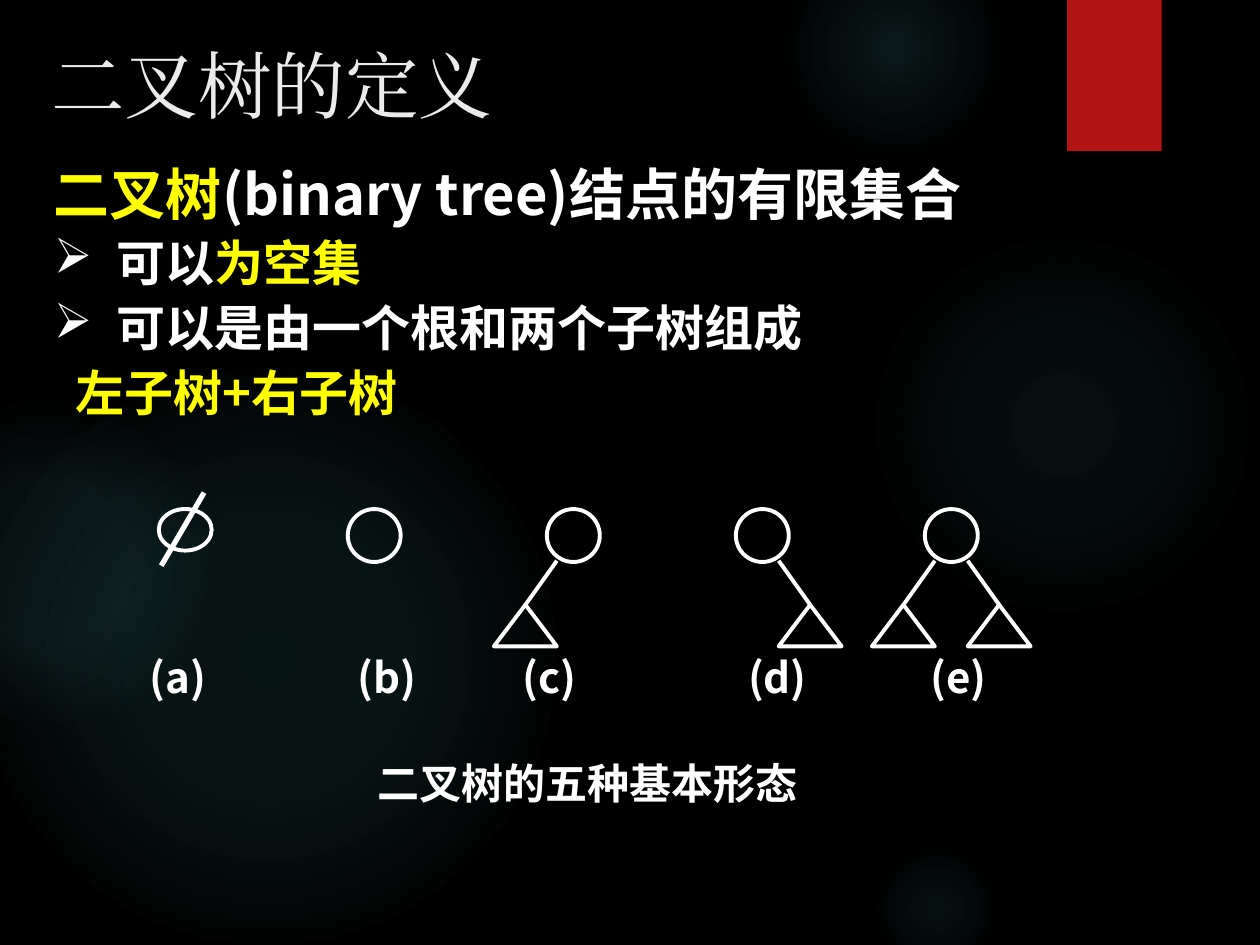
"""Build a slide on the definition of binary trees and their five basic forms."""
from dataclasses import dataclass
from typing import NamedTuple

from lxml.etree import SubElement
from pptx import Presentation
from pptx.dml.color import RGBColor
from pptx.enum.shapes import MSO_CONNECTOR, MSO_SHAPE
from pptx.enum.text import PP_ALIGN
from pptx.oxml.ns import qn
from pptx.shapes.autoshape import Shape
from pptx.slide import Slide
from pptx.text.text import _Paragraph, _Run
from pptx.util import Inches, Pt


@dataclass(frozen=True)
class Theme:
    background: str = "000000"
    glow: str = "50B9C1"
    ribbon: str = "B01513"
    title: str = "EBEBEB"
    text: str = "FFFFFF"
    accent: str = "FFFF00"
    title_font: str = "Times New Roman"
    body_font: str = "Noto Sans CJK SC"
    title_size: int = 42
    lead_size: int = 32
    point_size: int = 28
    label_size: int = 24
    outline: float = 2.25
    slash: float = 3


class Glow(NamedTuple):
    left: float
    top: float
    size: float
    stops: tuple[tuple[int, int], ...]


class Statement(NamedTuple):
    phrases: tuple[tuple[str, str], ...]
    size: int
    leading: int
    bulleted: bool = False
    indent: float = 0


class TreeForm(NamedTuple):
    label: str
    label_center: float
    root_center: float
    branches: tuple[int, ...] = ()
    empty: bool = False


THEME = Theme()
GLOWS = (
    Glow(6.89, 1.83, 3.08, ((0, 7), (36, 6), (69, 0))),
    Glow(6.22, -0.5, 1.75, ((0, 14), (36, 7), (73, 0))),
    Glow(6.89, 6.67, 1.08, ((0, 9), (36, 5), (66, 0))),
    Glow(-0.17, 2.92, 4.58, ((0, 11), (36, 10), (75, 0))),
    Glow(-0.92, 3.17, 2.58, ((0, 8), (36, 8), (72, 0))),
)
STATEMENTS = (
    Statement((("二叉树", THEME.accent), ("(binary tree)结点的有限集合", THEME.text)),
              THEME.lead_size, 44),
    Statement((("可以", THEME.text), ("为空集", THEME.accent)),
              THEME.point_size, 37, bulleted=True),
    Statement((("可以是由一个根和两个子树组成", THEME.text),),
              THEME.point_size, 37, bulleted=True),
    Statement((("左子树+右子树", THEME.accent),), THEME.point_size, 37, indent=0.17),
)
FORMS = (
    TreeForm("(a)", 1.41, 1.47, empty=True),
    TreeForm("(b)", 3.07, 2.97),
    TreeForm("(c)", 4.36, 4.55, (-1,)),
    TreeForm("(d)", 6.17, 6.05, (1,)),
    TreeForm("(e)", 7.61, 7.55, (-1, 1)),
)
ROOT_TOP, ROOT_SIZE, EMPTY_HEIGHT = 4.04, 0.42, 0.33
EDGE_TOP, SUBTREE_TOP = 4.45, 4.8
EDGE_OFFSET, SUBTREE_OFFSET = 0.13, 0.38
SUBTREE_WIDTH, SUBTREE_HEIGHT = 0.5, 0.33
LABEL_TOP, LABEL_WIDTH, LABEL_HEIGHT = 5.12, 0.8, 0.5


def add_plain(slide: Slide, kind: MSO_SHAPE, left: float, top: float,
              width: float, height: float) -> Shape:
    shape = slide.shapes.add_shape(kind, Inches(left), Inches(top), Inches(width), Inches(height))
    shape.shadow.inherit = False
    return shape


def add_glow(slide: Slide, glow: Glow) -> None:
    halo = add_plain(slide, MSO_SHAPE.OVAL, glow.left, glow.top, glow.size, glow.size)
    halo.line.fill.background()
    halo.fill.gradient()
    gradient = halo._element.spPr.find(qn("a:gradFill"))
    for child in list(gradient):
        gradient.remove(child)
    stops = SubElement(gradient, qn("a:gsLst"))
    for position, opacity in glow.stops:
        stop = SubElement(stops, qn("a:gs"), pos=str(position * 1000))
        color = SubElement(stop, qn("a:srgbClr"), val=THEME.glow)
        SubElement(color, qn("a:alpha"), val=str(opacity * 1000))
    circle = SubElement(gradient, qn("a:path"))
    circle.set("path", "circle")
    SubElement(circle, qn("a:fillToRect"), l="50000", t="50000", r="50000", b="50000")


def add_outline(slide: Slide, kind: MSO_SHAPE, center: float, top: float,
                width: float, height: float) -> None:
    node = add_plain(slide, kind, center - width / 2, top, width, height)
    node.fill.background()
    node.line.color.rgb = RGBColor.from_string(THEME.text)
    node.line.width = Pt(THEME.outline)


def add_line(slide: Slide, start: tuple[float, float], end: tuple[float, float],
             weight: float) -> None:
    edge = slide.shapes.add_connector(
        MSO_CONNECTOR.STRAIGHT, *(Inches(value) for value in (*start, *end)))
    edge.line.color.rgb = RGBColor.from_string(THEME.text)
    edge.line.width = Pt(weight)
    SubElement(edge._element.spPr, qn("a:effectLst"))


def style_run(run: _Run, font: str, size: int, color: str, bold: bool) -> None:
    run.font.size = Pt(size)
    run.font.bold = bold
    run.font.color.rgb = RGBColor.from_string(color)
    run.font.name = font
    SubElement(run._r.get_or_add_rPr(), qn("a:ea"), typeface=font)


def add_textbox(slide: Slide, left: float, top: float, width: float, height: float) -> Shape:
    box = slide.shapes.add_textbox(Inches(left), Inches(top), Inches(width), Inches(height))
    box.text_frame.word_wrap = True
    return box


def add_text(slide: Slide, text: str, left: float, top: float, width: float, height: float,
             size: int = THEME.label_size, color: str = THEME.text,
             font: str = THEME.body_font, bold: bool = True,
             align: PP_ALIGN = PP_ALIGN.LEFT) -> None:
    frame = add_textbox(slide, left, top, width, height).text_frame
    frame.text = text
    frame.paragraphs[0].alignment = align
    style_run(frame.paragraphs[0].runs[0], font, size, color, bold)


def write_statement(paragraph: _Paragraph, statement: Statement) -> None:
    paragraph.alignment = PP_ALIGN.JUSTIFY
    paragraph.line_spacing = Pt(statement.leading)
    properties = paragraph._p.get_or_add_pPr()
    if statement.bulleted:
        properties.set("marL", str(Inches(0.5)))
        properties.set("indent", str(-Inches(0.5)))
        SubElement(properties, qn("a:buChar"), char="➢")
    else:
        properties.set("marL", str(Inches(statement.indent)))
    for text, color in statement.phrases:
        run = paragraph.add_run()
        run.text = text
        style_run(run, THEME.body_font, statement.size, color, True)


def add_definition(slide: Slide) -> None:
    frame = add_textbox(slide, 0.33, 1.14, 8.61, 2.25).text_frame
    for index, statement in enumerate(STATEMENTS):
        write_statement(frame.add_paragraph() if index else frame.paragraphs[0], statement)


def add_form(slide: Slide, form: TreeForm) -> None:
    center = form.root_center
    root_height = EMPTY_HEIGHT if form.empty else ROOT_SIZE
    add_outline(slide, MSO_SHAPE.OVAL, center, ROOT_TOP, ROOT_SIZE, root_height)
    if form.empty:
        add_line(slide, (center + 0.15, 3.91), (center - 0.19, 4.49), THEME.slash)
    for side in form.branches:
        subtree = center + side * SUBTREE_OFFSET
        add_line(slide, (center + side * EDGE_OFFSET, EDGE_TOP), (subtree, SUBTREE_TOP),
                 THEME.outline)
        add_outline(slide, MSO_SHAPE.FLOWCHART_EXTRACT, subtree, SUBTREE_TOP,
                    SUBTREE_WIDTH, SUBTREE_HEIGHT)
    add_text(slide, form.label, form.label_center - LABEL_WIDTH / 2, LABEL_TOP,
             LABEL_WIDTH, LABEL_HEIGHT, align=PP_ALIGN.CENTER)


def main() -> None:
    deck = Presentation()
    deck.slide_width, deck.slide_height = Inches(10), Inches(7.5)
    slide = deck.slides.add_slide(deck.slide_layouts[6])
    slide.background.fill.solid()
    slide.background.fill.fore_color.rgb = RGBColor.from_string(THEME.background)
    for glow in GLOWS:
        add_glow(slide, glow)
    ribbon = add_plain(slide, MSO_SHAPE.RECTANGLE, 8.47, 0, 0.75, 1.2)
    ribbon.fill.solid()
    ribbon.fill.fore_color.rgb = RGBColor.from_string(THEME.ribbon)
    ribbon.line.fill.background()
    add_definition(slide)
    for form in FORMS:
        add_form(slide, form)
    add_text(slide, "二叉树的五种基本形态", 2.9, 5.96, 5, 0.5)
    add_text(slide, "二叉树的定义", 0.31, 0.27, 8, 1, size=THEME.title_size,
             color=THEME.title, font=THEME.title_font, bold=False)
    deck.save("out.pptx")


if __name__ == "__main__":
    main()
